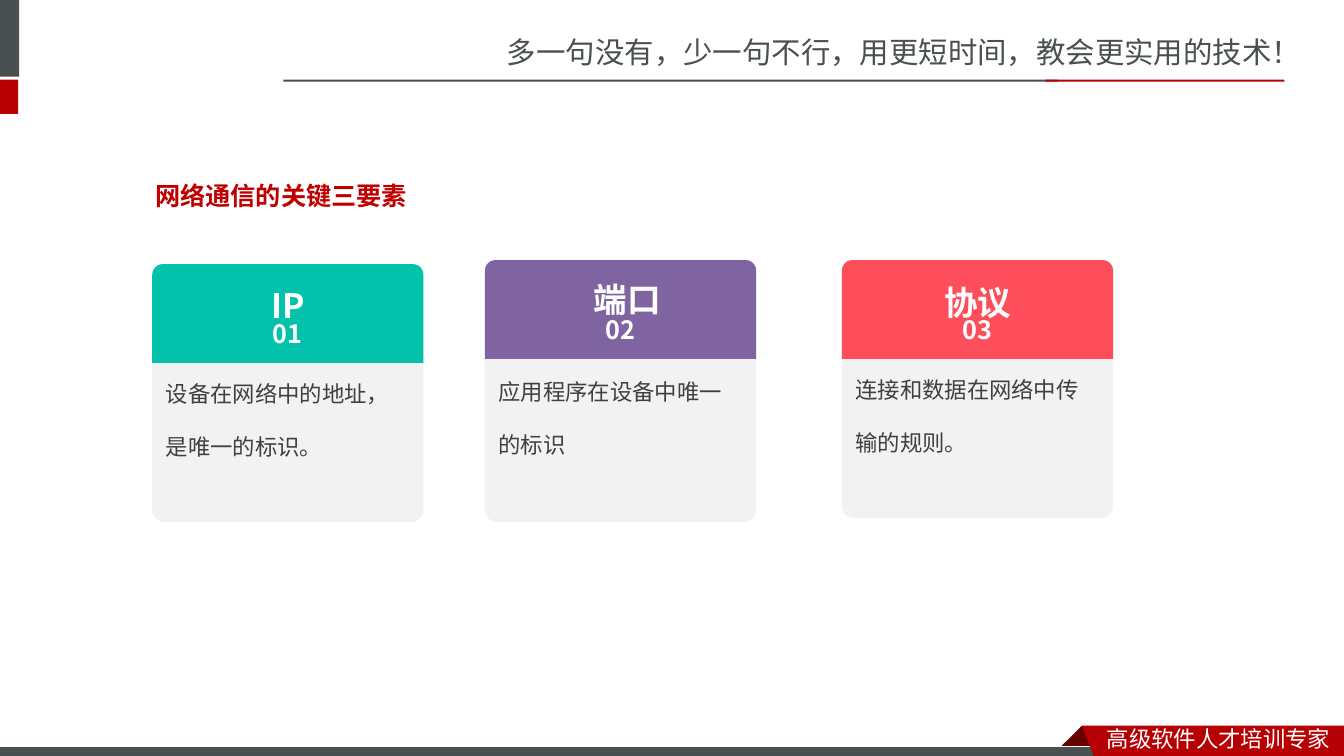
from pptx import Presentation
from pptx.dml.color import RGBColor
from pptx.enum.shapes import MSO_SHAPE as SHAPE
from pptx.enum.text import MSO_ANCHOR as ANCHOR, PP_ALIGN as ALIGN
from pptx.util import Inches, Pt

SC, JP = "Noto Sans CJK SC", "Noto Sans CJK JP"
SLATE = RGBColor(0x49, 0x50, 0x4F)
CRIMSON = RGBColor(0xB6, 0x00, 0x04)
MAROON = RGBColor(0x68, 0x00, 0x00)
RED = RGBColor(0xC0, 0x00, 0x00)
WHITE = RGBColor(0xFF, 0xFF, 0xFF)
PALE = RGBColor(0xF2, 0xF2, 0xF2)
INK = RGBColor(0x40, 0x40, 0x40)
TEAL = RGBColor(0x02, 0xC2, 0xAB)
PURPLE = RGBColor(0x80, 0x64, 0xA2)
CORAL = RGBColor(0xFE, 0x4E, 0x5B)

SLOGAN = "多一句没有，少一句不行，用更短时间，教会更实用的技术！"
TAGLINE = "高级软件人才培训专家"
HEADING = "网络通信的关键三要素"
CARDS = [
    ("IP", "设备在网络中的地址，是唯一的标识。", TEAL, 1.51, 2.62, 2.56, (1.92, 2.76, 1.87)),
    ("端口", "应用程序在设备中唯一的标识", PURPLE, 4.81, 2.58, 2.6, (5.4, 2.7, 1.64)),
    ("协议", "连接和数据在网络中传输的规则。", CORAL, 8.35, 2.58, 2.56, (8.95, 2.73, 1.5)),
]
CARD_W, HEADER_H, TITLE_H = 2.69, 0.98, 0.46
BARS = [
    (-0.06, 0, 0.25, 0.76, SLATE),
    (-0.06, 0.79, 0.24, 0.34, CRIMSON),
    (2.81, 0.79, 7.68, 0.02, SLATE),
    (10.37, 0.79, 2.37, 0.02, CRIMSON),
]
FOLD = [(10.73, 7.2), (10.95, 7.42), (10.94, 7.43), (10.52, 7.43), (10.51, 7.42)]
RIBBON = [(10.73, 7.2), (13.33, 7.2), (13.33, 7.54), (10.86, 7.53)]

prs = Presentation()
prs.slide_width, prs.slide_height = Inches(13.33), Inches(7.5)
s = prs.slides.add_slide(prs.slide_layouts[6])


def paint(sp, color):
    sp.shadow.inherit = False
    sp.fill.solid()
    sp.fill.fore_color.rgb = color
    sp.line.fill.background()
    return sp


def block(kind, x, y, w, h, color, *adjustments):
    sp = s.shapes.add_shape(kind, Inches(x), Inches(y), Inches(w), Inches(h))
    for i, value in enumerate(adjustments):
        sp.adjustments[i] = value
    return paint(sp, color)


def outline(points, color):
    start, *rest = [(Inches(x), Inches(y)) for x, y in points]
    fb = s.shapes.build_freeform(*start)
    fb.add_line_segments(rest, close=True)
    return paint(fb.convert_to_shape(), color)


def write(sp, text, size, color, font=JP, bold=False, spacing=1.0,
          align=ALIGN.LEFT, anchor=ANCHOR.MIDDLE, margins=(0.1, 0.05, 0.1, 0.05)):
    tf = sp.text_frame
    tf.word_wrap = True
    tf.vertical_anchor = anchor
    tf.margin_left, tf.margin_top, tf.margin_right, tf.margin_bottom = map(Inches, margins)
    p = tf.paragraphs[0]
    p.text, p.alignment, p.line_spacing = text, align, spacing
    p.font.size, p.font.bold, p.font.name = Pt(size), bold, font
    p.font.color.rgb = color


def label(x, y, w, h, *args, **style):
    write(s.shapes.add_textbox(Inches(x), Inches(y), Inches(w), Inches(h)), *args, **style)


label(4.93, 0.29, 8.41, 0.47, SLOGAN, 21, SLATE, font=SC, anchor=ANCHOR.TOP)
for *box, color in BARS:
    block(SHAPE.RECTANGLE, *box, color)
outline(FOLD, MAROON)
base = block(SHAPE.RECTANGLE, -0.01, 7.41, 11, 0.12, SLATE)
base.line.color.rgb = WHITE
base.line.width = Pt(0.75)
outline(RIBBON, CRIMSON)
label(10.88, 7.14, 2.45, 0.37, TAGLINE, 16, WHITE, font=SC, anchor=ANCHOR.TOP)
label(1.44, 1.59, 2.96, 0.51, HEADING, 18, RED, bold=True, spacing=1.5, anchor=ANCHOR.TOP)

for n, (title, body, color, x, y, h, title_box) in enumerate(CARDS, 1):
    card = block(SHAPE.ROUNDED_RECTANGLE, x, y, CARD_W, h, PALE, 0.048)
    write(card, body, 16, INK, spacing=2.0, margins=(0.1, 0.32, 0.1, 0.05))
    header = block(SHAPE.ROUND_2_SAME_RECTANGLE, x, y, CARD_W, HEADER_H, color, 0.107, 0)
    write(header, f"{n:02}", 18, WHITE, bold=True, spacing=1.2, align=ALIGN.CENTER,
          margins=(0.1, 0.35, 0.1, 0.05))
    label(*title_box, TITLE_H, title, 24, WHITE, bold=True, spacing=1.2,
          align=ALIGN.CENTER, margins=(0, 0, 0, 0))

prs.save("out.pptx")
